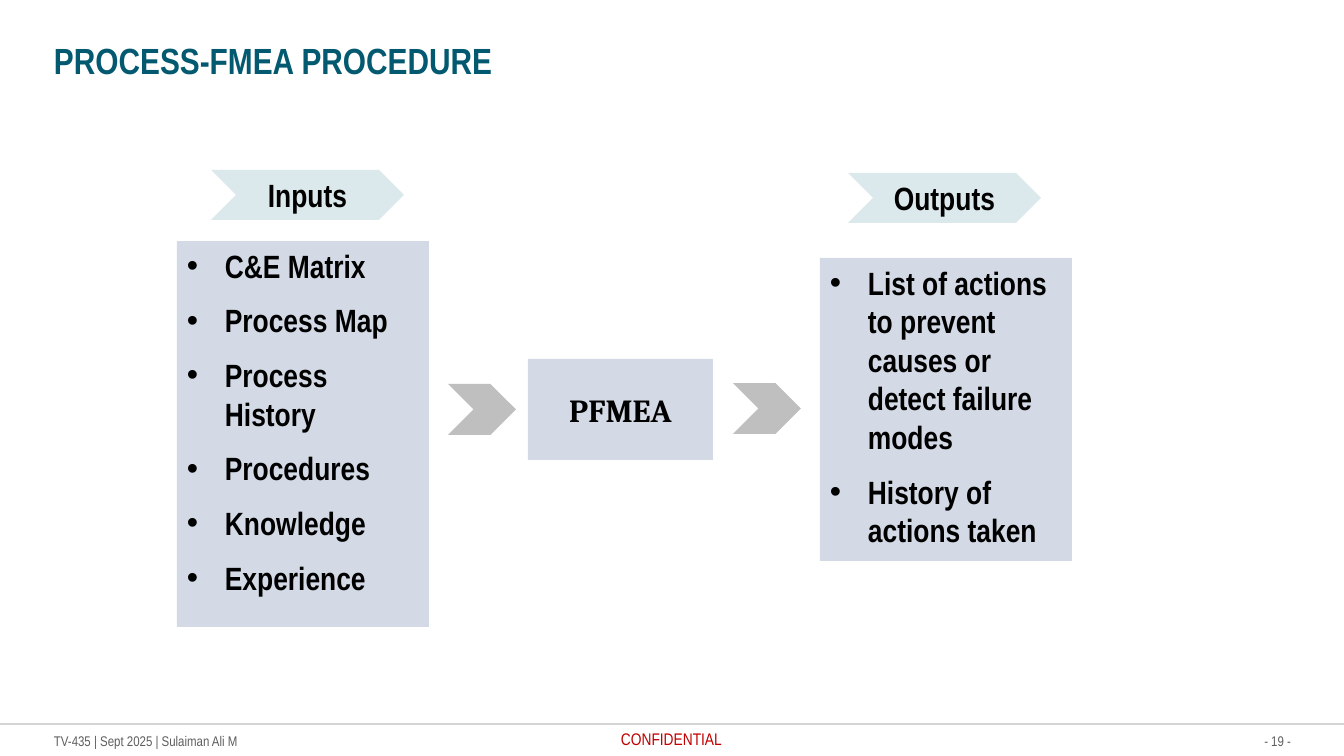
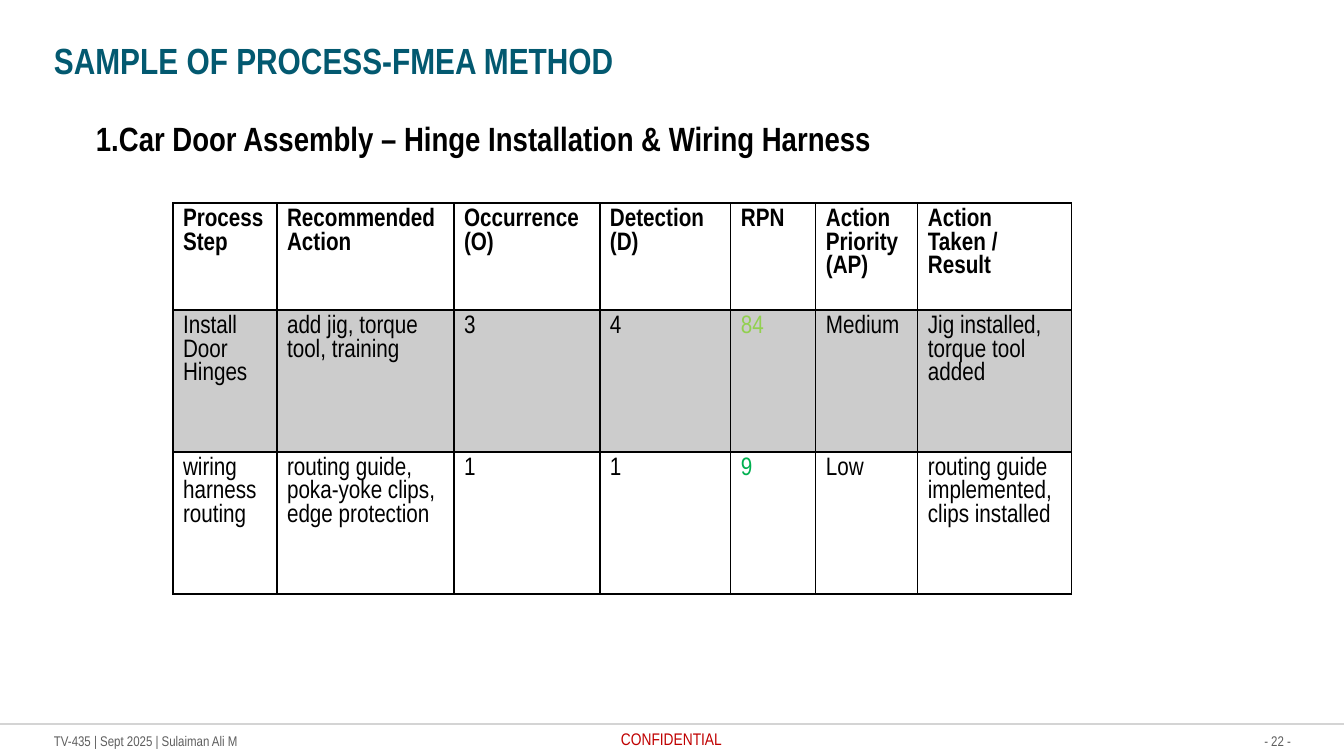
from lxml import etree
from pptx import Presentation
from pptx.dml.color import RGBColor
from pptx.enum.shapes import MSO_CONNECTOR, MSO_SHAPE
from pptx.enum.text import MSO_ANCHOR, PP_ALIGN
from pptx.oxml.ns import qn
from pptx.util import Emu, Pt

PX = 914400 / 100.8
PAGE_WIDTH, PAGE_HEIGHT = 1344, 756
MARGIN_LEFT, MARGIN_RIGHT = 54, 1291
RULE_TOP, FOOTER_TOP = 724, 732
BULLET_INDENT = 38

SANS, SERIF = "Arial Narrow", "Cambria"
COLORS = {
    "title": "035970", "ink": "000000", "footer": "5E5E5E", "alert": "C00000",
    "panel": "D3DAE5", "heading": "DCE9EC", "arrow": "BFBFBF",
    "white": "FFFFFF", "shaded": "CCCCCC", "medium": "92D050", "low": "00B050",
}
FOOTER = "TV-435 | Sept 2025 | Sulaiman Ali M"
CONFIDENTIAL = "CONFIDENTIAL"

# Flow parts: (left, top, width, height) in px, then the text.
HEADINGS = [
    ((211, 170, 193, 50), "Inputs"),
    ((848, 173, 193, 50), "Outputs"),
]
PANELS = [
    ((177, 241, 252, 386), ["C&E Matrix", "Process Map", "Process History",
                            "Procedures", "Knowledge", "Experience"]),
    ((820, 258, 252, 303), ["List of actions to prevent causes or detect failure modes",
                            "History of actions taken"]),
]
CORE = ((528, 359, 185, 101), "PFMEA")
ARROWS = [(448, 384, 68, 51), (733, 383, 68, 51)]

SUBTITLE = "1.Car Door Assembly – Hinge Installation & Wiring Harness"
TABLE_ORIGIN = (173, 203)
COLUMN_WIDTHS = [104, 177, 146, 131, 85, 102, 154]
ROW_HEIGHTS = [107, 142, 142]
RESULT_HEADER_MARGIN = 24
TABLE_ROWS = [
    ["Process Step", "Recommended Action", "Occurrence (O)", "Detection (D)",
     "RPN", "Action Priority (AP)", "Action Taken / Result"],
    ["Install Door Hinges", "add jig, torque tool, training", "3", "4",
     "84", "Medium", "Jig installed, torque tool added"],
    ["wiring harness routing", "routing guide, poka‑yoke clips, edge protection", "1", "1",
     "9", "Low", "routing guide implemented, clips installed"],
]
ROW_FILLS = ["white", "shaded", "white"]
RPN_COLUMN = TABLE_ROWS[0].index("RPN")
RPN_COLORS = ["ink", "medium", "low"]


def px(length):
    return Emu(round(length * PX))


def place(box):
    return [px(length) for length in box]


def rgb(name):
    return RGBColor.from_string(COLORS[name])


def write(frame, lines, size, color="ink", bold=False, font=SANS, align=PP_ALIGN.LEFT):
    """Write one paragraph per line and return the paragraphs."""
    frame.word_wrap = True
    for index, line in enumerate(lines):
        para = frame.add_paragraph() if index else frame.paragraphs[0]
        para.text = line
        para.alignment = align
        para.font.name = font
        para.font.size = Pt(size)
        para.font.bold = bold
        para.font.color.rgb = rgb(color)
    return frame.paragraphs


def add_text(page, box, text, size, inset=True, anchor=MSO_ANCHOR.TOP, **style):
    frame = page.shapes.add_textbox(*place(box)).text_frame
    if not inset:
        frame.margin_left = frame.margin_top = frame.margin_right = frame.margin_bottom = 0
    frame.vertical_anchor = anchor
    write(frame, [text], size, **style)


def add_block(page, kind, box, fill):
    shape = page.shapes.add_shape(kind, *place(box))
    shape.shadow.inherit = False
    shape.fill.solid()
    shape.fill.fore_color.rgb = rgb(fill)
    shape.line.fill.background()
    return shape


def add_label(page, kind, box, fill, text, font=SANS):
    frame = add_block(page, kind, box, fill).text_frame
    frame.vertical_anchor = MSO_ANCHOR.MIDDLE
    write(frame, [text], 23, bold=True, font=font, align=PP_ALIGN.CENTER)


def add_bullet_panel(page, box, items):
    frame = add_block(page, MSO_SHAPE.RECTANGLE, box, "panel").text_frame
    frame.vertical_anchor = MSO_ANCHOR.TOP
    for index, para in enumerate(write(frame, items, 23, bold=True)):
        if index:
            para.space_before = Pt(11.5)
        properties = para._p.get_or_add_pPr()
        properties.set("marL", str(px(BULLET_INDENT)))
        properties.set("indent", str(-px(BULLET_INDENT)))
        bullet_font = etree.Element(qn("a:buFont"), typeface="Arial")
        bullet = etree.Element(qn("a:buChar"), char="•")
        defaults = properties.find(qn("a:defRPr"))
        defaults.addprevious(bullet_font)
        defaults.addprevious(bullet)


def add_footer_rule(page):
    rule = page.shapes.add_connector(
        MSO_CONNECTOR.STRAIGHT, *place((0, RULE_TOP, PAGE_WIDTH, RULE_TOP)))
    rule.line.width = Pt(1)
    rule.line.color.rgb = rgb("ink")
    color = rule.line._ln.find(".//" + qn("a:srgbClr"))
    etree.SubElement(color, qn("a:alpha"), val="25000")
    etree.SubElement(rule._element.spPr, qn("a:effectLst"))


def add_page(deck, title, number):
    """Add a blank page with the shared title and footer."""
    page = deck.slides.add_slide(deck.slide_layouts[6])
    add_footer_rule(page)
    add_text(page, (621, 729, 105, 20), CONFIDENTIAL, 12, inset=False, color="alert")
    small = dict(size=10, inset=False, anchor=MSO_ANCHOR.MIDDLE, color="footer")
    add_text(page, (MARGIN_LEFT, FOOTER_TOP, 300, 17), FOOTER, **small)
    add_text(page, (MARGIN_RIGHT - 100, FOOTER_TOP, 100, 17), f"- {number} -",
             align=PP_ALIGN.RIGHT, **small)
    add_text(page, (MARGIN_LEFT, 38, MARGIN_RIGHT - MARGIN_LEFT, 44), title, 26,
             inset=False, color="title", bold=True)
    return page


def add_borders(cell):
    properties = cell._tc.get_or_add_tcPr()
    for index, side in enumerate(("a:lnL", "a:lnR", "a:lnT", "a:lnB")):
        line = etree.Element(qn(side), w=str(Pt(1)))
        fill = etree.SubElement(line, qn("a:solidFill"))
        etree.SubElement(fill, qn("a:srgbClr"), val=COLORS["ink"])
        properties.insert(index, line)


def add_fmea_table(page):
    box = (*TABLE_ORIGIN, sum(COLUMN_WIDTHS), sum(ROW_HEIGHTS))
    table = page.shapes.add_table(len(ROW_HEIGHTS), len(COLUMN_WIDTHS), *place(box)).table
    table.first_row = table.horz_banding = False
    for column, width in zip(table.columns, COLUMN_WIDTHS):
        column.width = px(width)
    for row_index, texts in enumerate(TABLE_ROWS):
        table.rows[row_index].height = px(ROW_HEIGHTS[row_index])
        for column_index, text in enumerate(texts):
            cell = table.cell(row_index, column_index)
            cell.fill.solid()
            cell.fill.fore_color.rgb = rgb(ROW_FILLS[row_index])
            color = RPN_COLORS[row_index] if column_index == RPN_COLUMN else "ink"
            write(cell.text_frame, [text], 18, color, bold=row_index == 0)
            add_borders(cell)
    result_header = table.cell(0, len(COLUMN_WIDTHS) - 1)
    result_header.margin_right = px(RESULT_HEADER_MARGIN)


def build_procedure(deck):
    page = add_page(deck, "PROCESS-FMEA PROCEDURE", 19)
    for box, text in HEADINGS:
        add_label(page, MSO_SHAPE.CHEVRON, box, "heading", text)
    for box, items in PANELS:
        add_bullet_panel(page, box, items)
    for box in ARROWS:
        add_block(page, MSO_SHAPE.CHEVRON, box, "arrow")
    core_box, core_text = CORE
    add_label(page, MSO_SHAPE.RECTANGLE, core_box, "panel", core_text, SERIF)


def build_sample(deck):
    page = add_page(deck, "SAMPLE OF PROCESS-FMEA METHOD", 22)
    add_fmea_table(page)
    add_text(page, (86, 113, 875, 50), SUBTITLE, 24, bold=True)


def main():
    deck = Presentation()
    deck.slide_width, deck.slide_height = px(PAGE_WIDTH), px(PAGE_HEIGHT)
    build_procedure(deck)
    build_sample(deck)
    deck.save("out.pptx")


if __name__ == "__main__":
    main()
